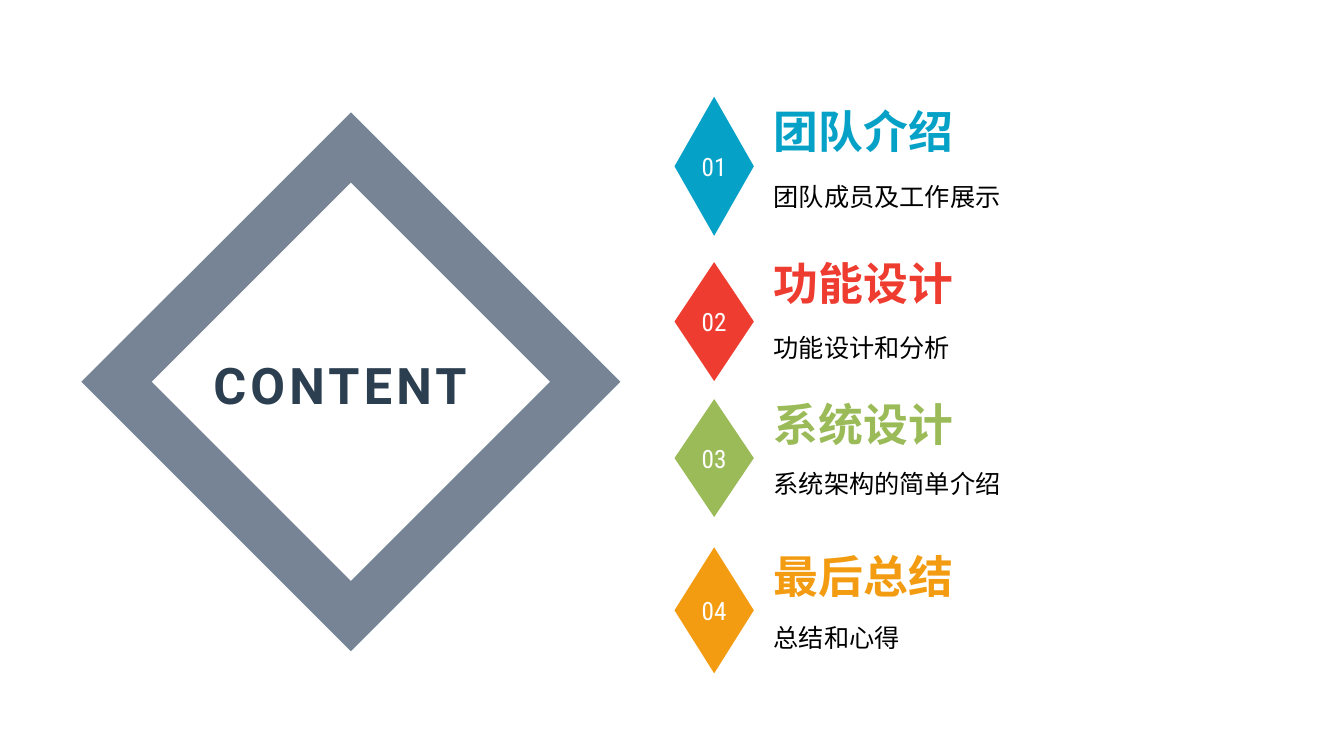
import dataclasses

import pptx
import pptx.dml.color
import pptx.enum.shapes
import pptx.enum.text
import pptx.oxml.ns
import pptx.util
from lxml import etree

ALIGN = pptx.enum.text.PP_ALIGN
ANCHOR = pptx.enum.text.MSO_ANCHOR
CHINESE = "Noto Sans CJK SC"

deck = pptx.Presentation()
deck.slide_width = pptx.util.Inches(13.33)
deck.slide_height = pptx.util.Inches(7.5)
page = deck.slides.add_slide(deck.slide_layouts[6])


@dataclasses.dataclass(frozen=True)
class Area:
    left: float
    top: float
    width: float
    height: float

    def lengths(self) -> list[int]:
        return [across(self.left), down(self.top), across(self.width), down(self.height)]


@dataclasses.dataclass(frozen=True)
class Style:
    font: str
    size: int
    color: str
    bold: bool = False
    spacing: int = 0


@dataclasses.dataclass(frozen=True)
class Chapter:
    number: str
    title: str
    detail: str
    color: str
    top: float
    height: float
    title_lift: float = 0


def across(percent: float) -> int:
    return round(deck.slide_width * percent / 100)


def down(percent: float) -> int:
    return round(deck.slide_height * percent / 100)


def rgb(color: str) -> pptx.dml.color.RGBColor:
    return pptx.dml.color.RGBColor.from_string(color)


def paint(shape, color: str) -> None:
    shape.shadow.inherit = False
    shape.fill.solid()
    shape.fill.fore_color.rgb = rgb(color)
    shape.line.fill.background()


def write(shape, text: str, style: Style, anchor, align=ALIGN.LEFT,
          indent: float | None = 0, wrap: bool = False, leading: float = 1.0) -> None:
    box = shape.text_frame
    box.word_wrap = wrap
    box.vertical_anchor = anchor
    if indent is not None:
        box.margin_left = across(indent)
        box.margin_top = box.margin_right = box.margin_bottom = 0
    para = box.paragraphs[0]
    para.alignment = align
    para.line_spacing = leading
    span = para.add_run()
    span.text = text
    span.font.name = style.font
    span.font.size = pptx.util.Pt(style.size)
    span.font.bold = style.bold
    span.font.color.rgb = rgb(style.color)
    properties = span.font._element
    if style.spacing:
        properties.set("spc", str(style.spacing * 100))
    east_asian = etree.Element(pptx.oxml.ns.qn("a:ea"), typeface=style.font)
    properties.find(pptx.oxml.ns.qn("a:latin")).addnext(east_asian)


def draw_frame(center_x: int, center_y: int, outer: int, inner: int, color: str) -> None:
    def corners(reach: int, turn: int) -> list[tuple[int, int]]:
        return [(center_x, center_y - reach), (center_x + turn * reach, center_y),
                (center_x, center_y + reach), (center_x - turn * reach, center_y)]

    outside, inside = corners(outer, 1), corners(inner, -1)
    builder = page.shapes.build_freeform(*outside[0])
    builder.add_line_segments(outside[1:], close=True)
    builder.move_to(*inside[0])
    builder.add_line_segments(inside[1:], close=True)
    paint(builder.convert_to_shape(), color)


def draw_chapter(chapter: Chapter) -> None:
    diamond = page.shapes.add_shape(
        pptx.enum.shapes.MSO_SHAPE.DIAMOND,
        *Area(50.19, chapter.top, 5.9, chapter.height).lengths())
    paint(diamond, chapter.color)
    write(diamond, chapter.number, Style("Roboto Condensed", 18, "FFFFFF"),
          ANCHOR.MIDDLE, ALIGN.CENTER)

    title_height = 0.39 * chapter.height
    split = chapter.top + 0.05 * chapter.height + title_height
    split -= 0.05
    title = page.shapes.add_textbox(
        *Area(54.61, split - title_height - chapter.title_lift, 37.43, title_height).lengths())
    write(title, chapter.title, Style(CHINESE, 32, chapter.color, bold=True),
          ANCHOR.BOTTOM, indent=2.95)

    detail = page.shapes.add_textbox(
        *Area(54.61, split, 37.43, 0.51 * chapter.height).lengths())
    write(detail, chapter.detail, Style(CHINESE, 18, "000000"),
          ANCHOR.MIDDLE, indent=2.95, wrap=True, leading=1.2)


CHAPTERS = [
    Chapter("01", "团队介绍", "团队成员及工作展示", "06A1C6", 12.8, 18.4),
    Chapter("02", "功能设计", "功能设计和分析", "EE3C30", 34.67, 15.73, title_lift=0.6),
    Chapter("03", "系统设计", "系统架构的简单介绍", "9BBB59", 52.8, 15.6),
    Chapter("04", "最后总结", "总结和心得", "F39C12", 72.4, 16.67),
]

draw_frame(across(26.11), down(50.5), across(20.05), across(14.83), "778495")
for chapter in CHAPTERS:
    draw_chapter(chapter)
heading = page.shapes.add_textbox(*Area(14.48, 46.13, 21, 8.8).lengths())
write(heading, "CONTENT", Style("Roboto", 36, "2C3F50", bold=True, spacing=3),
      ANCHOR.TOP, ALIGN.RIGHT, indent=None)

deck.save("out.pptx")
